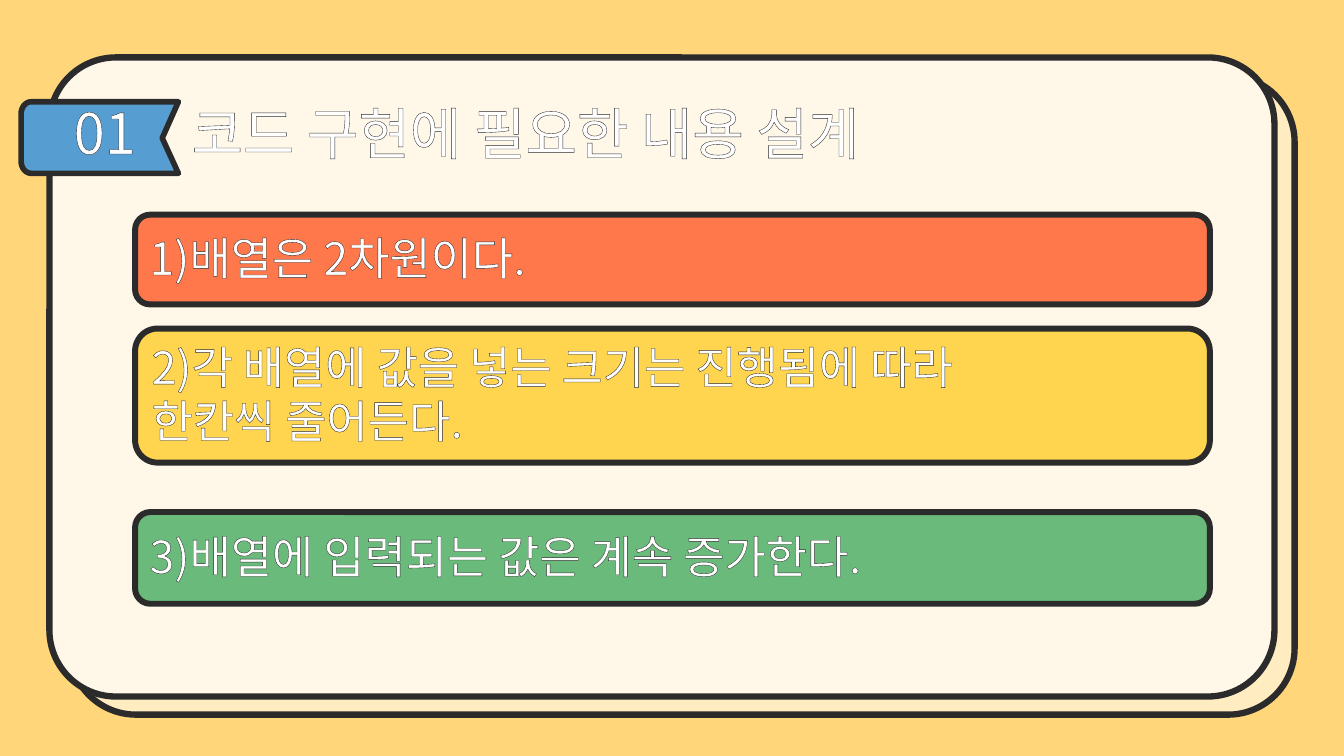
from math import cos, pi, sin

from lxml.etree import SubElement
from pptx import Presentation
from pptx.dml.color import RGBColor
from pptx.enum.shapes import MSO_SHAPE as Shape
from pptx.enum.text import MSO_ANCHOR as Anchor, MSO_AUTO_SIZE as AutoSize, PP_ALIGN as Align
from pptx.oxml.ns import qn
from pptx.util import Inches, Pt

FONT = "Noto Sans CJK KR"
INK = "2B2B2B"
WHITE = "FFFFFF"
BAR_INSETS = {"margin_left": 0.1, "margin_top": 0, "margin_right": 0.1, "margin_bottom": 0.05}
BADGE_INSETS = {"margin_left": 0.1, "margin_top": 0, "margin_right": 0, "margin_bottom": 0.12}
TITLE_INSETS = {"margin_left": 0.1, "margin_top": 0.05, "margin_right": 0.1, "margin_bottom": 0.05}


def paint(fill, color):
    """Make a fill solid in the given hex colour."""
    fill.solid()
    fill.fore_color.rgb = RGBColor.from_string(color)


def style_shape(shape, color, line_width):
    """Give a shape its fill and dark round-jointed outline."""
    shape.shadow.inherit = False
    paint(shape.fill, color)
    paint(shape.line.fill, INK)
    shape.line.width = Pt(line_width)
    SubElement(shape.line._ln, qn("a:round"))


def outline_text(run, width):
    """Outline the letters of a run and name its East Asian font."""
    properties = run.font._element
    line = SubElement(properties, qn("a:ln"), w=str(Pt(width)))
    properties.insert(0, line)
    SubElement(SubElement(line, qn("a:solidFill")), qn("a:srgbClr"), val=INK)
    SubElement(properties, qn("a:ea"), typeface=FONT)


def write(shape, lines, size, outline, insets, align=Align.LEFT, spacing=1.0):
    """Write outlined white lines in a shape."""
    frame = shape.text_frame
    frame.text = "\n".join(lines)
    frame_format = {"word_wrap": True, "auto_size": AutoSize.NONE, "vertical_anchor": Anchor.MIDDLE}
    frame_format.update({side: Inches(inset) for side, inset in insets.items()})
    for name, value in frame_format.items():
        setattr(frame, name, value)
    for paragraph in frame.paragraphs:
        paragraph.alignment = align
        paragraph.line_spacing = spacing
        for run in paragraph.runs:
            for name, value in {"name": FONT, "size": Pt(size), "bold": False}.items():
                setattr(run.font, name, value)
            paint(run.font.fill, WHITE)
            outline_text(run, outline)


def add_rounded(slide, box, color, line_width, corner):
    """Add a rounded rectangle."""
    shape = slide.shapes.add_shape(Shape.ROUNDED_RECTANGLE, *map(Inches, box))
    shape.adjustments[0] = corner
    style_shape(shape, color, line_width)
    return shape


def corner_points(center_x, center_y, radius_x, radius_y, start):
    """Return points of a quarter turn from the start angle."""
    angles = [start + step * pi / 16 for step in range(9)]
    return [(center_x + radius_x * cos(a), center_y + radius_y * sin(a)) for a in angles]


def add_badge(slide, number):
    """Add the notched number ribbon."""
    left, top, right, bottom = 0.21, 1.01, 1.77, 1.72
    radius_x, radius_y = 0.1, 0.12
    points = [(right, bottom), (1.61, 1.37), (right, top)]
    points += reversed(corner_points(left + radius_x, top + radius_y, radius_x, radius_y, pi))
    points += reversed(corner_points(left + radius_x, bottom - radius_y, radius_x, radius_y, pi / 2))
    points = [(Inches(x), Inches(y)) for x, y in points]
    builder = slide.shapes.build_freeform(*points[0])
    builder.add_line_segments(points[1:], close=True)
    badge = builder.convert_to_shape()
    style_shape(badge, "569DD2", 4)
    write(badge, [number], 40, 2.5, BADGE_INSETS, Align.CENTER)


def place_title(slide, text, card):
    """Put the title placeholder in front of the card."""
    title = slide.shapes.title
    box = {"left": 1.8, "top": 0.9, "width": 8.06, "height": 0.82}
    for name, value in box.items():
        setattr(title, name, Inches(value))
    write(title, [text], 40, 2.5, TITLE_INSETS)
    card.element.addnext(title.element)


def main():
    """Build the slide and save it."""
    deck = Presentation()
    deck.slide_width, deck.slide_height = Inches(13.33), Inches(7.5)
    slide = deck.slides.add_slide(deck.slide_layouts[5])
    paint(slide.background.fill, "FFD679")
    for left, top, color in [(0.69, 0.75, "FFECC1"), (0.49, 0.57, "FFF8E9")]:
        card = add_rounded(slide, (left, top, 12.15, 6.34), color, 4.5, 0.104)
    place_title(slide, "코드 구현에 필요한 내용 설계", card)
    add_badge(slide, "01")
    rules = [
        (2.13, 0.89, "FF784C", ["1)배열은 2차원이다."]),
        (3.26, 1.33, "FFD44E", ["2)각 배열에 값을 넣는 크기는 진행됨에 따라", "한칸씩 줄어든다."]),
        (5.08, 0.91, "6ABB7B", ["3)배열에 입력되는 값은 계속 증가한다."]),
    ]
    for top, height, color, lines in rules:
        bar = add_rounded(slide, (1.34, top, 10.66, height), color, 4.25, 0.167)
        write(bar, lines, 32, 1.75, BAR_INSETS)
    deck.save("out.pptx")


if __name__ == "__main__":
    main()
